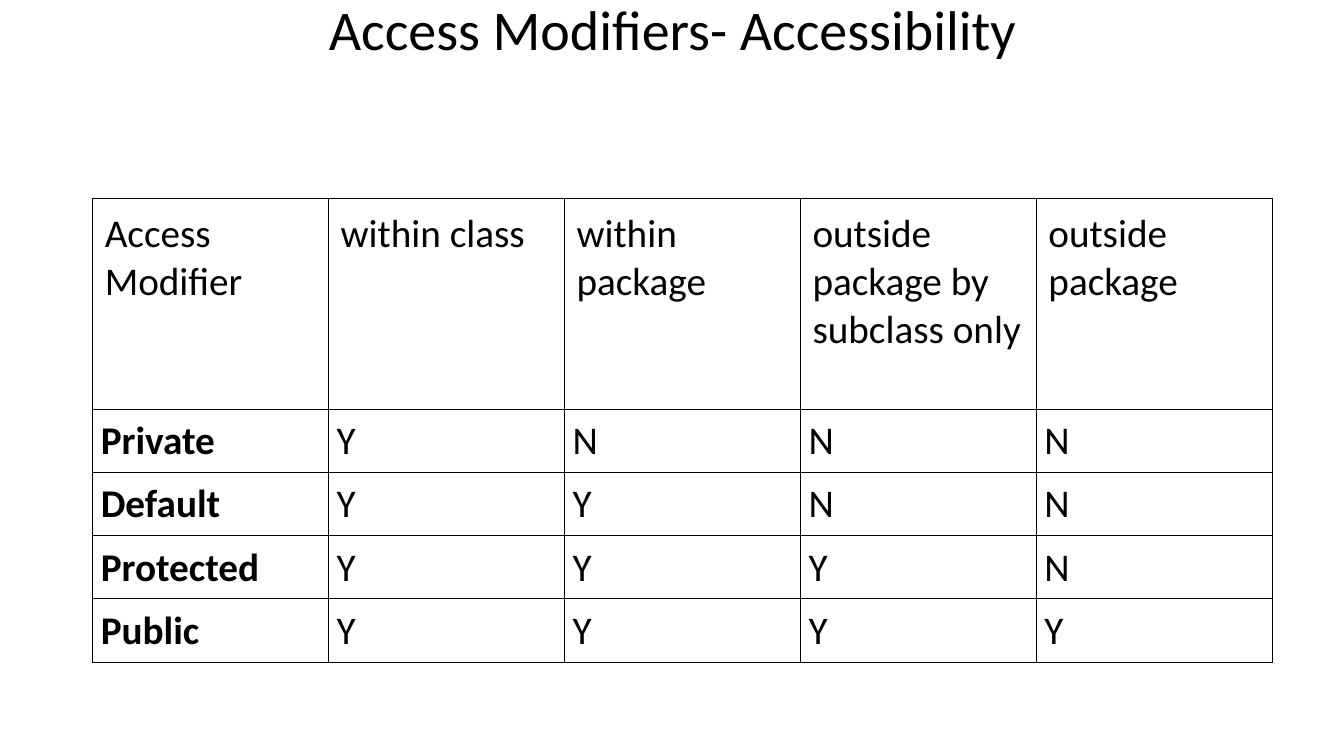
import dataclasses

import lxml.etree
import pptx
import pptx.dml.color
import pptx.enum.text
import pptx.oxml.ns
import pptx.slide
import pptx.table
import pptx.text.text
import pptx.util

Inches = pptx.util.Inches


@dataclasses.dataclass(frozen=True)
class Theme:
    font: str = "Calibri"
    ink: str = "000000"
    paper: str = "FFFFFF"
    title_size: int = 40
    table_size: int = 28
    border_width: int = 1


@dataclasses.dataclass(frozen=True)
class TableRow:
    texts: tuple[str, ...]
    height: float = 0.54
    inset: float = 0.08
    bold_label: bool = True


THEME = Theme()
LEFT = 0.92
TABLE_TOP = 1.97
COLUMN_WIDTH = 2.34
TITLE = "Access Modifiers- Accessibility"
ROWS = (
    TableRow(
        (
            "Access Modifier",
            "within class",
            "within package",
            "outside package by subclass only",
            "outside package",
        ),
        height=2.09,
        inset=0.12,
        bold_label=False,
    ),
    TableRow(("Private", "Y", "N", "N", "N")),
    TableRow(("Default", "Y", "Y", "N", "N")),
    TableRow(("Protected", "Y", "Y", "Y", "N")),
    TableRow(("Public", "Y", "Y", "Y", "Y")),
)


def format_runs(paragraph: pptx.text.text._Paragraph, size: int, bold: bool = False) -> None:
    for run in paragraph.runs:
        run.font.name = THEME.font
        run.font.size = pptx.util.Pt(size)
        run.font.bold = bold
        run.font.color.rgb = pptx.dml.color.RGBColor.from_string(THEME.ink)


def add_title(slide: pptx.slide.Slide) -> None:
    shape = slide.shapes.add_textbox(Inches(LEFT), Inches(0), Inches(11.5), Inches(0.65))
    text_frame = shape.text_frame
    text_frame.word_wrap = True
    text_frame.vertical_anchor = pptx.enum.text.MSO_ANCHOR.MIDDLE
    text_frame.text = TITLE
    paragraph = text_frame.paragraphs[0]
    paragraph.alignment = pptx.enum.text.PP_ALIGN.CENTER
    paragraph.line_spacing = 0.9
    format_runs(paragraph, THEME.title_size)


def add_borders(cell: pptx.table._Cell) -> None:
    qualified = pptx.oxml.ns.qn
    properties = cell._tc.get_or_add_tcPr()
    for position, side in enumerate(("lnL", "lnR", "lnT", "lnB")):
        line = lxml.etree.Element(qualified(f"a:{side}"))
        line.set("w", str(pptx.util.Pt(THEME.border_width)))
        fill = lxml.etree.SubElement(line, qualified("a:solidFill"))
        lxml.etree.SubElement(fill, qualified("a:srgbClr")).set("val", THEME.ink)
        properties.insert(position, line)


def fill_cell(cell: pptx.table._Cell, text: str, inset: float, bold: bool) -> None:
    cell.margin_left = cell.margin_right = Inches(inset)
    cell.margin_top = cell.margin_bottom = Inches(inset)
    cell.fill.solid()
    cell.fill.fore_color.rgb = pptx.dml.color.RGBColor.from_string(THEME.paper)
    cell.text_frame.text = text
    format_runs(cell.text_frame.paragraphs[0], THEME.table_size, bold)
    add_borders(cell)


def add_access_table(slide: pptx.slide.Slide, rows: tuple[TableRow, ...]) -> None:
    column_count = len(rows[0].texts)
    table = slide.shapes.add_table(
        len(rows),
        column_count,
        Inches(LEFT),
        Inches(TABLE_TOP),
        Inches(COLUMN_WIDTH * column_count),
        Inches(sum(row.height for row in rows)),
    ).table
    table.first_row = False
    table.horz_banding = False
    for column in table.columns:
        column.width = Inches(COLUMN_WIDTH)
    for row_index, row in enumerate(rows):
        table.rows[row_index].height = Inches(row.height)
        for column_index, text in enumerate(row.texts):
            bold = row.bold_label and column_index == 0
            fill_cell(table.cell(row_index, column_index), text, row.inset, bold)


def main() -> None:
    presentation = pptx.Presentation()
    presentation.slide_width = Inches(13.33)
    presentation.slide_height = Inches(7.5)
    slide = presentation.slides.add_slide(presentation.slide_layouts[6])
    add_title(slide)
    add_access_table(slide, ROWS)
    presentation.save("out.pptx")


if __name__ == "__main__":
    main()
